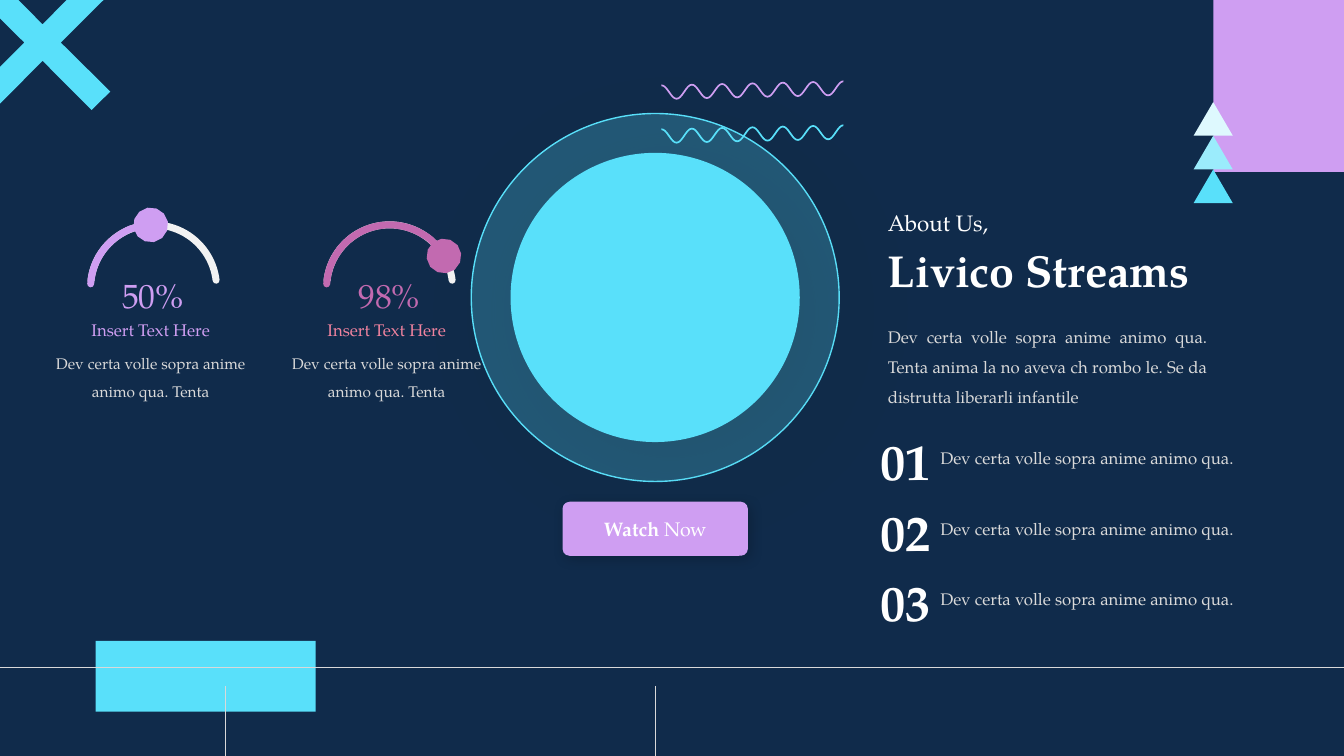
import math
from dataclasses import dataclass

import lxml.etree
import pptx
import pptx.dml.color
import pptx.enum.shapes
import pptx.enum.text
import pptx.oxml.ns
import pptx.util

Pt = pptx.util.Pt
Kind = pptx.enum.shapes.MSO_SHAPE
Align = pptx.enum.text.PP_ALIGN
WIDE, HIGH = 960, 540


@dataclass(frozen=True)
class Theme:
    font: str = "TeX Gyre Pagella"
    navy: str = "102B4B"
    lilac: str = "CF9EF2"
    cyan: str = "59E0FA"
    light: str = "9BECFC"
    pale: str = "DEF9FE"
    pink: str = "C26AB0"
    coral: str = "F0839F"
    white: str = "FFFFFF"
    track: str = "F2F2F2"
    grey: str = "D9D9D9"
    shade: str = "2C3138"
    black: str = "000000"
    small: int = 11
    body: int = 12
    button: int = 14
    intro: int = 16
    rate: int = 24
    title: int = 32
    number: int = 36


T = Theme()


def rgb(code):
    return pptx.dml.color.RGBColor.from_string(code)


def node(parent, tag, **attrs):
    return lxml.etree.SubElement(parent, pptx.oxml.ns.qn(tag), attrs)


def paint(item, fill=None, line=None, width=1):
    item.shadow.inherit = False
    if fill:
        item.fill.solid()
        item.fill.fore_color.rgb = rgb(fill)
    else:
        item.fill.background()
    if line:
        item.line.color.rgb = rgb(line)
        item.line.width = Pt(width)
    else:
        item.line.fill.background()
    return item


def draw(slide, kind, box, **look):
    return paint(slide.shapes.add_shape(kind, *map(Pt, box)), **look)


def outline(slide, points, fill):
    """Fill the closed polygon through the points."""
    spots = [(Pt(x), Pt(y)) for x, y in points]
    maker = slide.shapes.build_freeform(*spots[0])
    maker.add_line_segments(spots[1:])
    return paint(maker.convert_to_shape(), fill)


def shade(item, color, alpha, blur, dist):
    effects = item.element.spPr.find(pptx.oxml.ns.qn("a:effectLst"))
    cast = node(effects, "a:outerShdw", blurRad=str(Pt(blur)), dist=str(Pt(dist)),
                dir="2700000", algn="tl", rotWithShape="0")
    tint = node(cast, "a:srgbClr", val=color)
    node(tint, "a:alpha", val=str(alpha * 1000))


def style(run, **look):
    run.font.color.rgb = rgb(look.pop("color"))
    look["size"] = Pt(look["size"])
    for key, value in dict(name=T.font, **look).items():
        setattr(run.font, key, value)


def write(slide, box, text, layout=None, inset=True, **look):
    frame = slide.shapes.add_textbox(*map(Pt, box)).text_frame
    frame.word_wrap = True
    frame.auto_size = pptx.enum.text.MSO_AUTO_SIZE.SHAPE_TO_FIT_TEXT
    if not inset:
        for side in ("left", "top", "right", "bottom"):
            setattr(frame, "margin_" + side, 0)
    para = frame.paragraphs[0]
    for key, value in (layout or {}).items():
        setattr(para, key, value)
    run = para.add_run()
    run.text = text
    style(run, **look)


def rule(slide, start, end):
    line = slide.shapes.add_connector(
        pptx.enum.shapes.MSO_CONNECTOR.STRAIGHT, *map(Pt, (*start, *end)))
    line.line.color.rgb = rgb(T.grey)
    line.line.width = Pt(0.75)
    node(line.element.spPr, "a:effectLst")


def cross(slide, mid):
    arm = [(0, -13), (-35, -48.2), (-48.4, -35)]
    points = []
    for turn in range(4):
        points += [(mid + x, mid + y) for x, y in arm]
        arm = [(y, -x) for x, y in arm]
    outline(slide, points, T.cyan)


def spin(x, y, angle):
    turn = math.radians(angle)
    return (x * math.cos(turn) - y * math.sin(turn),
            x * math.sin(turn) + y * math.cos(turn))


def bend(item):
    """Turn each three straight segments into one Bezier curve."""
    lines = list(item.element.iter(pptx.oxml.ns.qn("a:lnTo")))
    for first in range(0, len(lines), 3):
        curve = lxml.etree.Element(pptx.oxml.ns.qn("a:cubicBezTo"))
        lines[first].addprevious(curve)
        for line in lines[first:first + 3]:
            curve.append(line[0])
            line.getparent().remove(line)


def edge(side, span, height, rise):
    """Give the Bezier points of one edge of the ribbon, four curves a wave."""
    rate, knots = 12 * math.pi / span, []
    for step in range(25):
        x = span * step / 24
        y = height * (1 - math.cos(rate * x)) - rise * x / span
        slope = height * rate * math.sin(rate * x) - rise / span
        size = math.hypot(1, slope)
        knots.append((x + side * slope / size, y - side / size, slope))
    points = [knots[0][:2]]
    for (x, y, slope), (end, low, tilt) in zip(knots, knots[1:]):
        reach = 0.37 * (end - x)
        points += [(x + reach, y + reach * slope),
                   (end - reach, low - reach * tilt), (end, low)]
    return points


def wave(slide, left, top, color):
    """Draw a thin tilted ribbon of six waves."""
    tilt, shape = 43.8, (129.9, 4.9, 2.9)
    upper, lower = edge(0.62, *shape), edge(-0.62, *shape)[::-1]
    points = upper + [upper[-1], lower[0]] + lower + [lower[-1], upper[0], upper[0]]
    item = outline(slide, [spin(x, y, -tilt) for x, y in points], color)
    bend(item)
    x, y = spin(item.left + item.width / 2, item.top + item.height / 2, tilt)
    item.left = Pt(left) + round(x - item.width / 2)
    item.top = Pt(top) + round(y - item.height / 2)
    item.rotation = tilt


def scene(slide):
    draw(slide, Kind.RECTANGLE, (0, 0, WIDE, HIGH), fill=T.navy)
    draw(slide, Kind.RECTANGLE, (866.7, 0, WIDE - 866.7, 122.9), fill=T.lilac)
    cross(slide, 30.4)
    draw(slide, Kind.RECTANGLE, (68.3, 457.8, 157.2, 50.5), fill=T.cyan)
    rule(slide, (WIDE, 476.6), (0, 476.6))
    for x in (161, 468):
        rule(slide, (x, 489.9), (x, HIGH))


def disc(slide, x, y):
    ring = 262.8
    for size, line in ((ring, T.cyan), (206.6, None)):
        item = draw(slide, Kind.OVAL, (x - size / 2, y - size / 2, size, size),
                    fill=T.cyan, line=line)
        shade(item, T.shade, 11, 55, 15)
        if size == ring:
            tint = item.element.spPr.find(pptx.oxml.ns.qn("a:solidFill"))[0]
            node(tint, "a:alpha", val="25000")
    for top, color in ((61, T.lilac), (92.4, T.cyan)):
        wave(slide, x + 4.5, top, color)


def peaks(slide, left, top):
    for row, color in enumerate((T.pale, T.light, T.cyan)):
        draw(slide, Kind.ISOSCELES_TRIANGLE, (left, top + 24.1 * row, 28, 24), fill=color)


def curve(slide, box, start, end, color, dot=False):
    """Draw a mirrored arc between two angles in degrees."""
    item = draw(slide, Kind.ARC, box, line=color, width=5)
    for key, angle in enumerate((start, end)):
        item.adjustments[key] = angle * 0.6
    item.element.spPr.xfrm.set("flipH", "1")
    stroke = item.element.spPr.find(pptx.oxml.ns.qn("a:ln"))
    stroke.set("cap", "rnd")
    if dot:
        node(stroke, "a:headEnd", type="oval", w="lg", len="lg")


def gauge(slide, left, top, rate, start, color, label):
    ring = (left + 33.7, top, 90, 90)
    curve(slide, ring, 186.9, 353.2, T.track)
    curve(slide, ring, start, 356.4, color, dot=True)
    mid = Align.CENTER
    write(slide, (left + 38.4, top + 26.2, 80, 40.3), rate,
          dict(alignment=mid, line_spacing=1.2), size=T.rate, color=color)
    write(slide, (left, top + 64, 153.4, 21.6), "Insert Text Here",
          dict(alignment=mid), size=T.body, color=label)
    write(slide, (left, top + 82.5, 153.4, 45.4),
          "Dev certa volle sopra anime animo qua. Tenta",
          dict(alignment=mid, line_spacing=1.5), size=T.small, color=T.grey)


def about(slide, left, top):
    write(slide, (left, top, 116.6, 33.8), "About Us,", dict(line_spacing=1.5),
          size=T.intro, color=T.white)
    write(slide, (left, top + 33.8, 253.4, 46.1), "Livico Streams",
          size=T.title, color=T.white, bold=True)
    write(slide, (left, top + 86.4, 242.6, 69.8),
          "Dev certa volle sopra anime animo qua. Tenta anima la no aveva ch rombo le. "
          "Se da distrutta liberarli infantile",
          dict(alignment=Align.JUSTIFY, line_spacing=1.5), size=T.body, color=T.grey)


def points(slide, left, top):
    for row in range(3):
        y = top + 50.4 * row
        write(slide, (left, y, 60.2, 50.4), f"{row + 1:02}",
              dict(alignment=Align.RIGHT, line_spacing=1.3, space_before=Pt(10)),
              inset=False, size=T.number, color=T.white, bold=True)
        write(slide, (left + 59.8, y + 22, 257.8, 21.6),
              "Dev certa volle sopra anime animo qua.", size=T.body, color=T.grey)


def button(slide, box):
    item = draw(slide, Kind.ROUNDED_RECTANGLE, box, fill=T.lilac)
    item.adjustments[0] = 0.13
    shade(item, T.black, 20, 9, 3)
    item.text_frame.vertical_anchor = pptx.enum.text.MSO_ANCHOR.MIDDLE
    para = item.text_frame.paragraphs[0]
    para.alignment = Align.CENTER
    for text, bold in (("Watch", True), (" Now", False)):
        run = para.add_run()
        run.text = text
        style(run, size=T.button, color=T.white, bold=bold)


def main():
    deck = pptx.Presentation()
    deck.slide_width, deck.slide_height = Pt(WIDE), Pt(HIGH)
    slide = deck.slides.add_slide(deck.slide_layouts[6])
    scene(slide)
    disc(slide, 468, 212.5)
    peaks(slide, 852.6, 72.9)
    about(slide, 627.1, 136.1)
    for left, *facts in ((199.6, "98%", 210.4, T.pink, T.coral),
                         (31, "50%", 272.6, T.lilac, T.lilac)):
        gauge(slide, left, 160.6, *facts)
    points(slide, 604.8, 294.5)
    button(slide, (401.8, 358.4, 132.4, 38.6))
    deck.save("out.pptx")


if __name__ == "__main__":
    main()
